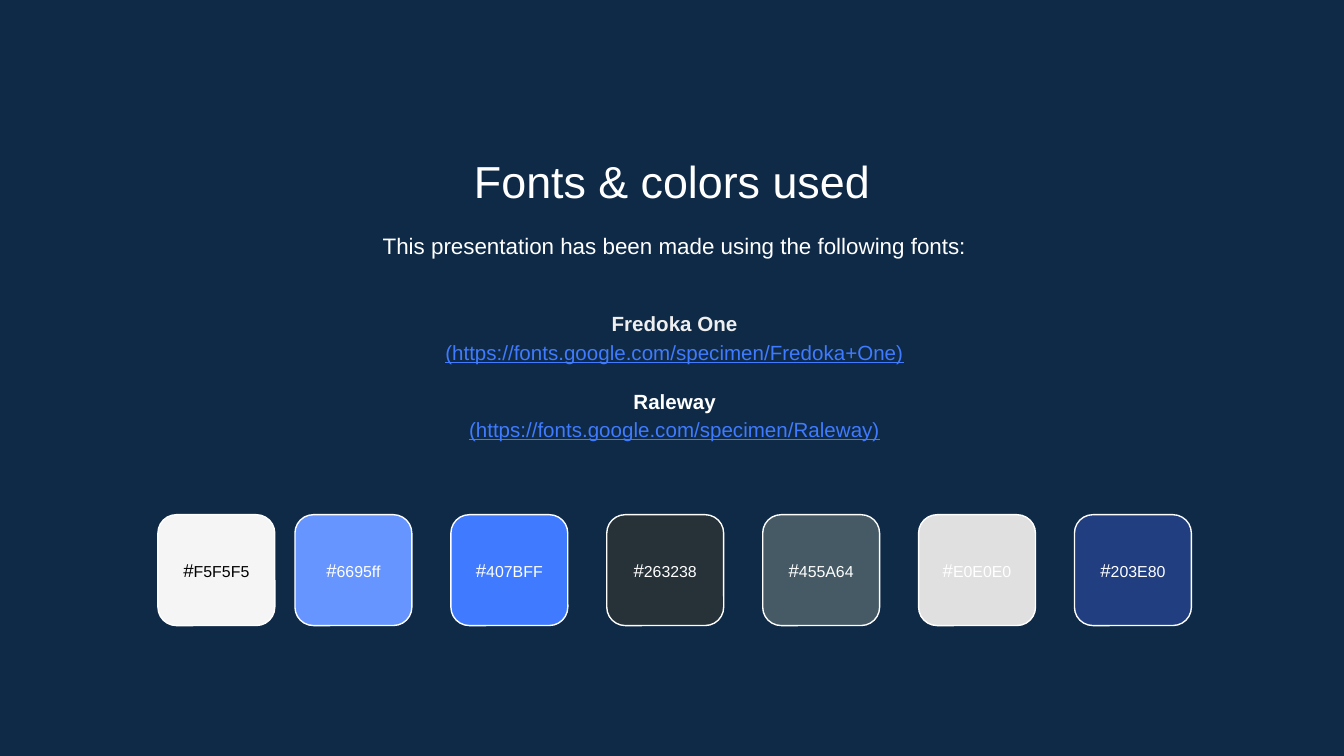
from pptx import Presentation
from pptx.dml.color import RGBColor as Rgb
from pptx.enum.shapes import MSO_SHAPE as Shape
from pptx.enum.text import MSO_ANCHOR as Anchor, MSO_AUTO_SIZE as Fit, PP_ALIGN as Align
from pptx.util import Emu, Pt

SCALE = 4572  # EMU in one px, 200 px to the inch
FONT = "Arial"
INK = {
    "back": "0E2A47",
    "white": "FFFFFF",
    "pale": "EFEFEF",
    "link": "407BFF",
    "black": "000000",
}
FONTS = [
    ("Fredoka One", "pale", "(https://fonts.google.com/specimen/Fredoka+One)"),
    ("Raleway", "white", "(https://fonts.google.com/specimen/Raleway)"),
]
CODES = ["F5F5F5", "6695ff", "407BFF", "263238", "455A64", "E0E0E0", "203E80"]
FIRST, START, STEP = 235, 439, 232  # the first swatch stands off the even row
TOP, WIDE, HIGH = 766, 174, 165
LABEL = 96


def px(*nums):
    return [Emu(num * SCALE) for num in nums]


def set_up(frame, anchor=Anchor.TOP):
    frame.word_wrap = True
    frame.auto_size = Fit.NONE
    frame.vertical_anchor = anchor
    frame.margin_left, frame.margin_right, frame.margin_top, frame.margin_bottom = px(20, 20, 20, 20)
    return frame


def add_box(slide, area, anchor=Anchor.TOP):
    return set_up(slide.shapes.add_textbox(*px(*area)).text_frame, anchor)


def add_run(para, text, size, color, bold=False, line=False):
    para.alignment = Align.CENTER
    run = para.add_run()
    run.text = text
    font = run.font
    font.name, font.size, font.bold, font.underline = FONT, Pt(size), bold, line
    font.color.rgb = Rgb.from_string(INK[color])


def add_title(slide):
    title = slide.shapes.title
    title.left, title.top, title.width, title.height = px(229, 209, 1542, 106)
    add_run(set_up(title.text_frame).paragraphs[0], "Fonts & colors used", 24, "white")


def add_intro(slide):
    para = add_box(slide, (233, 319, 1542, 96)).paragraphs[0]
    para.line_spacing = 1.15
    add_run(para, "This presentation has been made using the following fonts:", 12, "white")


def add_fonts(slide):
    frame = add_box(slide, (233, 420, 1542, 275), Anchor.MIDDLE)
    for i, (name, color, link) in enumerate(FONTS):
        head = frame.add_paragraph() if i else frame.paragraphs[0]
        if i:
            head.space_before = Pt(11)
        add_run(head, name, 11, color, bold=True)
        foot = frame.add_paragraph()
        add_run(foot, link, 11, "link", line=True)
        head.line_spacing = foot.line_spacing = 1.15


def add_swatch(slide, left, code, color):
    tile = slide.shapes.add_shape(Shape.ROUNDED_RECTANGLE, *px(left, TOP, WIDE, HIGH))
    tile.shadow.inherit = False
    tile.fill.solid()
    tile.fill.fore_color.rgb = Rgb.from_string(code.upper())
    tile.line.color.rgb = Rgb.from_string(INK["white"])
    tile.line.width = Pt(0.75)
    # Label centred on the tile
    top = TOP + (HIGH - LABEL) // 2
    para = add_box(slide, (left, top, WIDE, LABEL), Anchor.MIDDLE).paragraphs[0]
    add_run(para, "#", 10, color)
    add_run(para, code, 8.5, color)


def main():
    deck = Presentation()
    deck.slide_width, deck.slide_height = px(2000, 1125)
    slide = deck.slides.add_slide(deck.slide_layouts[5])
    fill = slide.background.fill
    fill.solid()
    fill.fore_color.rgb = Rgb.from_string(INK["back"])

    # Text
    add_title(slide)
    add_intro(slide)
    add_fonts(slide)

    # Colour swatches
    add_swatch(slide, FIRST, CODES[0], "black")
    for i, code in enumerate(CODES[1:]):
        add_swatch(slide, START + i * STEP, code, "white")

    deck.save("out.pptx")


if __name__ == "__main__":
    main()
